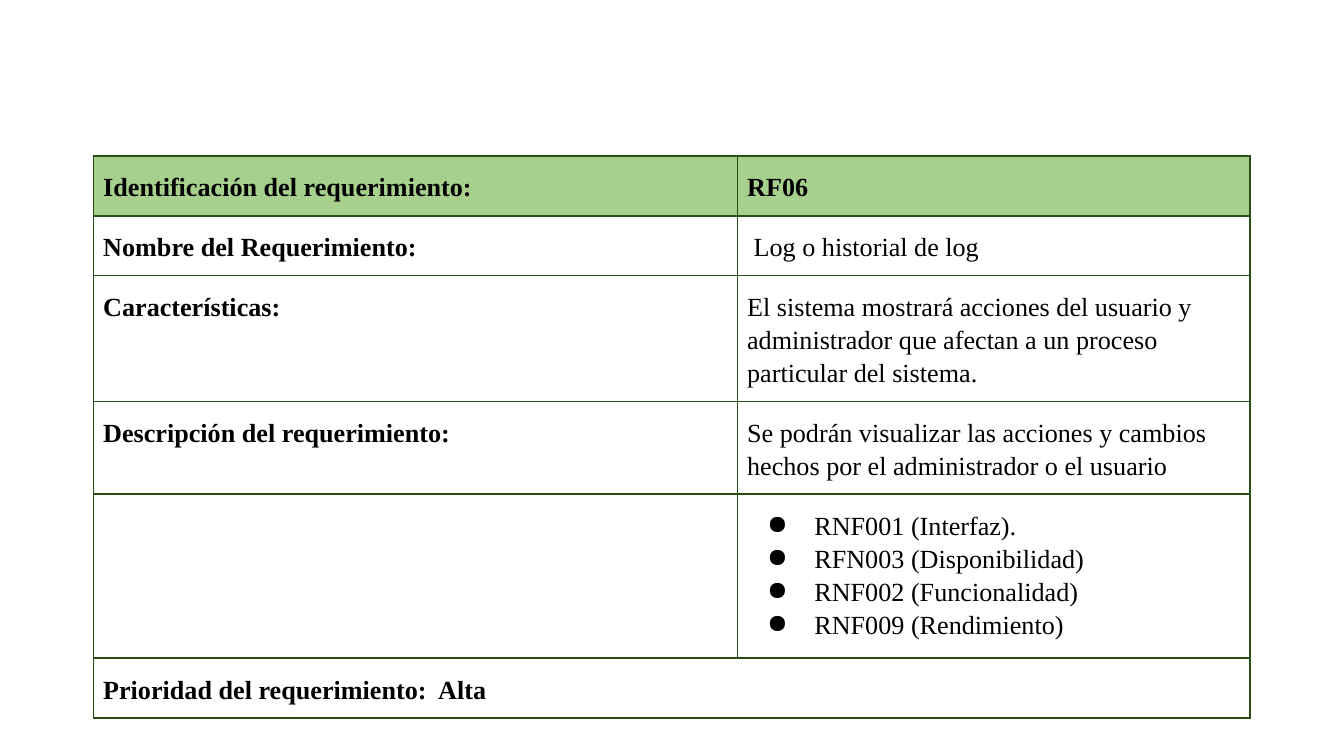
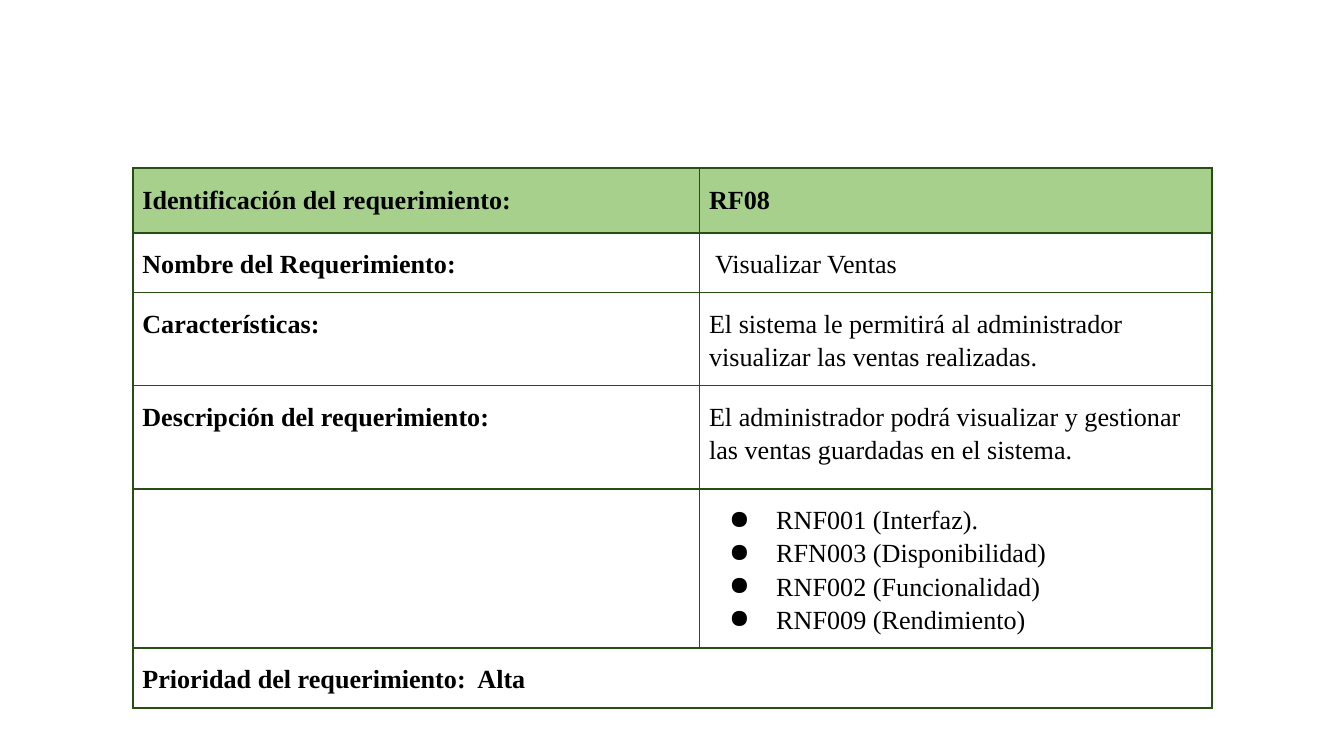
from lxml import etree
from pptx import Presentation
from pptx import util as u
from pptx.dml.color import RGBColor
from pptx.oxml import ns

GREEN = RGBColor(0xA8, 0xD0, 0x8D)
DARK = RGBColor(0x27, 0x4E, 0x13)
BLACK = RGBColor(0, 0, 0)
FONT = "Times New Roman"
LABELS = [
    "Identificación del requerimiento:",
    "Nombre del Requerimiento:",
    "Características:",
    "Descripción del requerimiento:",
    "Requerimiento NO funcional:",
]
LEVEL = "Prioridad del requerimiento:  Alta"
NEEDS = [
    "RNF001 (Interfaz).",
    "RFN003 (Disponibilidad)",
    "RNF002 (Funcionalidad)",
    "RNF009 (Rendimiento)",
]


def sub(node, tag, **attrs):
    return etree.SubElement(node, ns.qn("a:" + tag), **attrs)


def tint(node, color):
    sub(node, "srgbClr", val=str(color))


def write(par, words, size=14, bold=False, color=BLACK, bullet=False):
    par.line_spacing = 1.15
    run = par.add_run()
    run.text = words
    font = run.font
    font.name, font.size, font.bold = FONT, u.Pt(size), bold
    font.color.rgb = color
    if bullet:
        props = par._p.get_or_add_pPr()
        props.set("marL", str(u.Cm(1.27)))
        props.set("indent", str(u.Cm(-0.89)))
        tint(sub(props, "buClr"), color)
        sub(props, "buChar", char="●")


class Deck:
    def __init__(self):
        self.prs = Presentation()
        self.prs.slide_width = u.Cm(25.4)
        self.prs.slide_height = u.Cm(14.29)
        self.slide = None

    def page(self):
        blank = self.prs.slide_layouts[6]
        self.slide = self.prs.slides.add_slide(blank)

    def edge(self, cell, row):
        """Draw the four borders; the line under the header is thicker."""
        thick = {0: "B", 1: "T"}.get(row)
        props = cell._tc.get_or_add_tcPr()
        for side in "LRTB":
            width = u.Pt(1.5 if side == thick else 1)
            line = sub(props, "ln" + side, w=str(width))
            tint(sub(line, "solidFill"), DARK)

    def frame(self, cell, row):
        cell.margin_left = cell.margin_right = u.Cm(0.18)
        cell.margin_top = cell.margin_bottom = u.Cm(0.25)
        self.edge(cell, row)
        if row == 0:
            cell.fill.solid()
            cell.fill.fore_color.rgb = GREEN
        else:
            cell.fill.background()

    def table(self, left, top, cols, rows, values):
        """Add a requirement sheet; all lengths are in centimetres."""
        grid = self.slide.shapes.add_table(
            len(rows), len(cols), u.Cm(left), u.Cm(top),
            u.Cm(sum(cols)), u.Cm(sum(rows))).table
        grid.first_row = grid.horz_banding = False
        for col, width in zip(grid.columns, cols):
            col.width = u.Cm(width)
        for i, high in enumerate(rows):
            grid.rows[i].height = u.Cm(high)
            for cell in grid.rows[i].cells:
                self.frame(cell, i)
        for i, (label, value) in enumerate(zip(LABELS, values)):
            write(grid.cell(i, 0).text_frame.paragraphs[0], label, bold=True)
            write(grid.cell(i, 1).text_frame.paragraphs[0], value,
                  bold=i == 0)
        self.list(grid.cell(len(LABELS) - 1, 1).text_frame, NEEDS)
        last = len(rows) - 1
        grid.cell(last, 0).merge(grid.cell(last, 1))
        write(grid.cell(last, 0).text_frame.paragraphs[0], LEVEL, bold=True)

    def list(self, frame, items):
        for i, item in enumerate(items):
            par = frame.add_paragraph() if i else frame.paragraphs[0]
            write(par, item, bullet=True)


def main():
    deck = Deck()
    deck.page()
    deck.table(1.77, 2.95, [12.17, 9.68],
               [1.09, 1.09, 1.73, 1.52, 3.1, 1.09], [
        "RF06",
        " Log o historial de log",
        "El sistema mostrará acciones del usuario y administrador "
        "que afectan a un proceso particular del sistema.",
        "Se podrán visualizar las acciones y cambios hechos por "
        "el administrador o el usuario",
    ])
    deck.page()
    deck.table(2.51, 3.18, [10.71, 9.68],
               [1.22, 0.94, 1.47, 1.96, 2.97, 0.94], [
        "RF08",
        " Visualizar Ventas",
        "El sistema le permitirá al administrador visualizar "
        "las ventas realizadas.",
        "El administrador podrá visualizar y gestionar las ventas "
        "guardadas en el sistema.",
    ])
    deck.prs.save("out.pptx")


if __name__ == "__main__":
    main()
